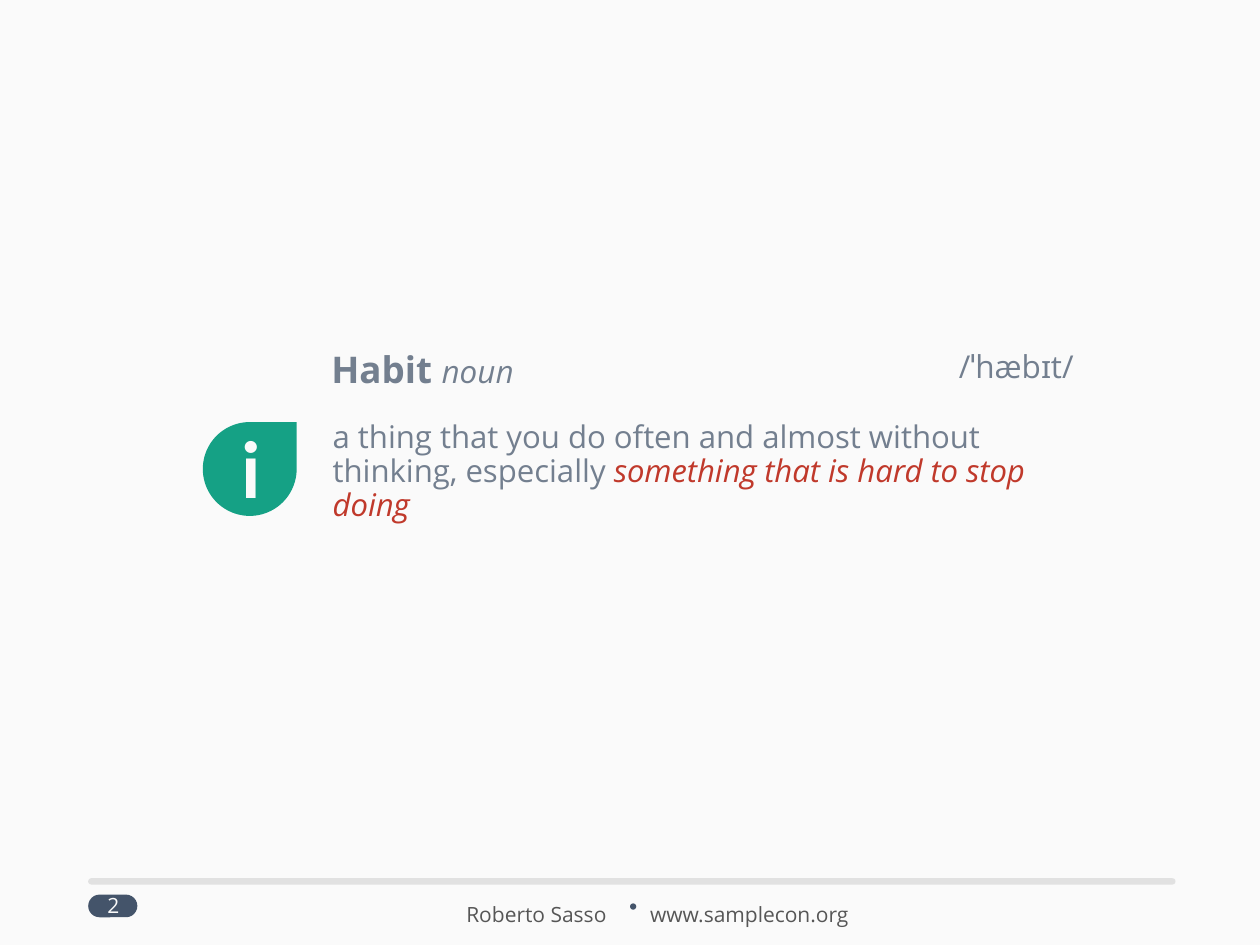
import dataclasses
import typing

import pptx
import pptx.dml.color
import pptx.enum.shapes
import pptx.enum.text
import pptx.util

# Grid of 100 columns by 75 rows; each cell is a tenth of an inch square
COLUMNS, ROWS = 100, 75
SLIDE_WIDTH = pptx.util.Inches(10)
SLIDE_HEIGHT = pptx.util.Inches(7.5)

PAPER, SLATE, NAVY = "FAFAFA", "737F8F", "44546A"
GREEN, RED, GREY, RULE = "15A185", "C0392B", "565656", "E1E1E1"

SHAPES = pptx.enum.shapes.MSO_SHAPE
ALIGN = pptx.enum.text.PP_ALIGN
ANCHOR = pptx.enum.text.MSO_ANCHOR


class Area(typing.NamedTuple):
    column: float
    row: float
    width: float
    height: float


@dataclasses.dataclass
class Block:
    kind: typing.Any
    area: Area
    fill: str
    adjustment: typing.Optional[float] = None


@dataclasses.dataclass
class Run:
    text: str
    size: float
    color: str = SLATE
    font: str = "Open Sans"
    bold: bool = False
    italic: bool = False


@dataclasses.dataclass
class Label:
    area: Area
    runs: typing.List[Run]
    paragraph: typing.Dict[str, typing.Any] = dataclasses.field(default_factory=dict)
    anchor: typing.Any = ANCHOR.TOP
    inset: float = 0
    wrap: bool = True


def color(value: str) -> pptx.dml.color.RGBColor:
    return pptx.dml.color.RGBColor.from_string(value)


def place(area: Area) -> typing.List[int]:
    """Turn grid units into slide lengths."""
    cell_width, cell_height = SLIDE_WIDTH / COLUMNS, SLIDE_HEIGHT / ROWS
    return [
        round(area.column * cell_width),
        round(area.row * cell_height),
        round(area.width * cell_width),
        round(area.height * cell_height),
    ]


def set_all(target: typing.Any, values: typing.Dict[str, typing.Any]) -> None:
    for name, value in values.items():
        setattr(target, name, value)


def draw_block(slide: typing.Any, block: Block) -> None:
    shape = slide.shapes.add_shape(block.kind, *place(block.area))
    shape.shadow.inherit = False
    shape.fill.solid()
    shape.fill.fore_color.rgb = color(block.fill)
    shape.line.fill.background()
    if block.adjustment is not None:
        shape.adjustments[0] = block.adjustment


def draw_label(slide: typing.Any, label: Label) -> None:
    frame = slide.shapes.add_textbox(*place(label.area)).text_frame
    inset = pptx.util.Inches(label.inset)
    margins = ("margin_left", "margin_top", "margin_right", "margin_bottom")
    set_all(frame, dict.fromkeys(margins, inset))
    set_all(frame, {"word_wrap": label.wrap, "vertical_anchor": label.anchor})
    paragraph = frame.paragraphs[0]
    set_all(paragraph, label.paragraph)
    for part in label.runs:
        run = paragraph.add_run()
        run.text = part.text
        set_all(run.font, {
            "name": part.font,
            "size": pptx.util.Pt(part.size),
            "bold": part.bold,
            "italic": part.italic,
        })
        run.font.color.rgb = color(part.color)


HEADING = {"line_spacing": 0.9, "space_before": pptx.util.Pt(7)}
DEFINITION = {"line_spacing": 0.9, "space_before": pptx.util.Pt(5)}
FOOTER = {"line_spacing": 1.5}

BLOCKS = [
    # Footer: page badge, rule and separator dot
    Block(SHAPES.ROUNDED_RECTANGLE, Area(7, 71, 3.9, 1.8), NAVY, 0.5),
    Block(SHAPES.ROUNDED_RECTANGLE, Area(7, 69.7, 86.3, 0.5), RULE, 0.5),
    Block(SHAPES.OVAL, Area(50, 71.7, 0.5, 0.5), NAVY),
    # Information drop
    Block(SHAPES.TEAR, Area(16.1, 33.5, 7.45, 7.45), GREEN, 1),
]

LABELS = [
    # Footer
    Label(Area(36.5, 70.1, 12.15, 3.4), [Run("Roberto Sasso", 12, GREY)],
          {**FOOTER, "alignment": ALIGN.RIGHT}, inset=0.05),
    Label(Area(51.1, 70.1, 18, 3.4), [Run("www.samplecon.org", 12, GREY)],
          FOOTER, inset=0.05),
    Label(Area(6.4, 70.1, 5.2, 3.4), [Run("2", 12, PAPER)],
          {"alignment": ALIGN.CENTER}, ANCHOR.MIDDLE),
    # Information letter
    Label(Area(18.7, 33, 2.9, 8.1), [Run("i", 44, PAPER, "Lato", bold=True)],
          inset=0.05, wrap=False),
    # Word, pronunciation and meaning
    Label(Area(26.3, 27.9, 17, 5),
          [Run("Habit ", 21, bold=True), Run("noun", 18, italic=True)], HEADING),
    Label(Area(76.1, 27.9, 10.7, 5), [Run("/ˈhæbɪt/", 18)], HEADING),
    Label(Area(26.4, 33.5, 60.5, 7.4), [
        Run("a thing that you do often and almost without thinking, especially ", 17.8),
        Run("something that is hard to stop doing", 17.8, RED, italic=True),
    ], DEFINITION),
]


def main() -> None:
    presentation = pptx.Presentation()
    set_all(presentation, {"slide_width": SLIDE_WIDTH, "slide_height": SLIDE_HEIGHT})
    slide = presentation.slides.add_slide(presentation.slide_layouts[6])
    slide.background.fill.solid()
    slide.background.fill.fore_color.rgb = color(PAPER)
    for block in BLOCKS:
        draw_block(slide, block)
    for label in LABELS:
        draw_label(slide, label)
    presentation.save("out.pptx")


if __name__ == "__main__":
    main()
